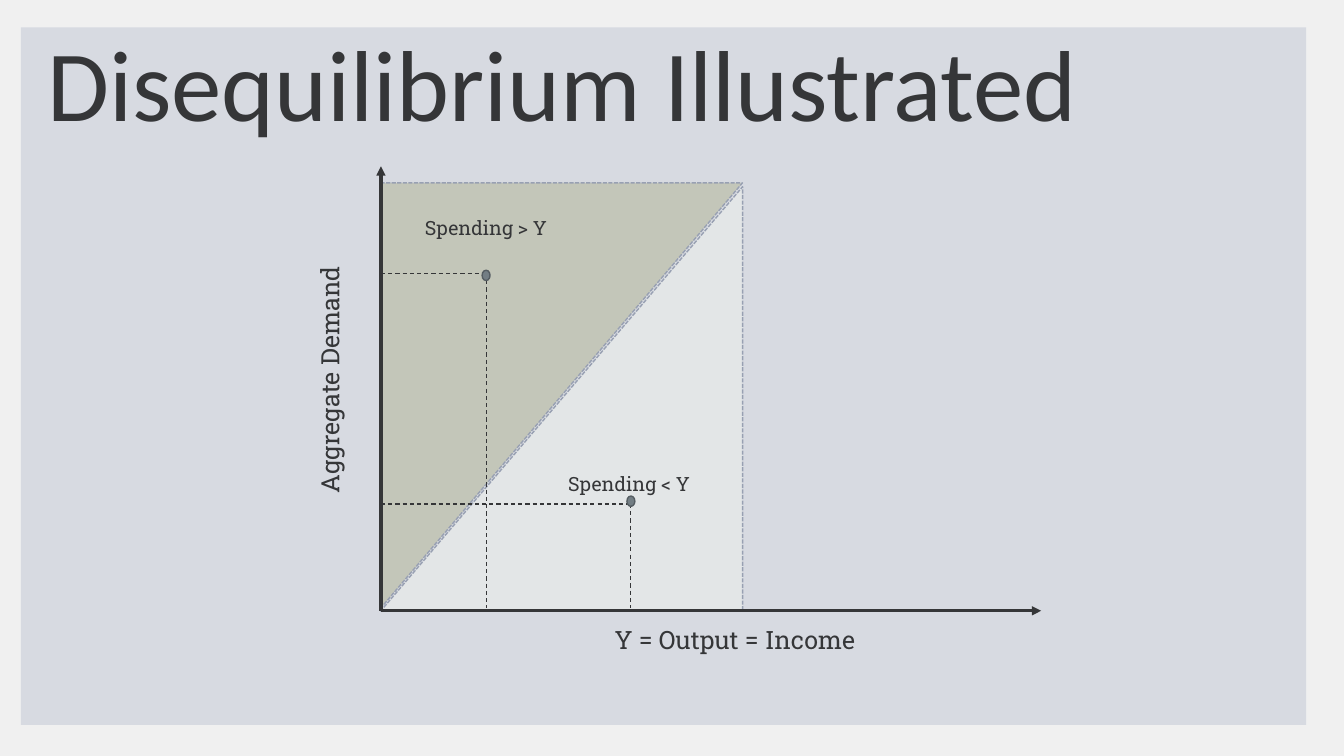
from dataclasses import dataclass

from lxml import etree
from pptx import Presentation
from pptx import util as u
from pptx.dml.color import RGBColor
from pptx.enum import dml, shapes, text
from pptx.oxml import ns


@dataclass(frozen=True)
class Theme:
    page: str = "F0F0F0"
    panel: str = "D7DAE1"
    ink: str = "353638"
    above: str = "C3C6B9"
    below: str = "E3E6E7"
    border: str = "98A0B2"
    dot: str = "737E84"
    dot_edge: str = "555D62"
    title_font: str = "Calibri"
    body_font: str = "Roboto Slab"
    title_size: int = 72
    axis_size: int = 18
    label_size: int = 14


def apply(target, values):
    for name, value in values.items():
        setattr(target, name, value)


class Diagram:
    def __init__(self, page, theme):
        self.page = page
        self.theme = theme
        page.background.fill.solid()
        page.background.fill.fore_color.rgb = RGBColor.from_string(theme.page)

    def stroke(self, line, color, width, dash=None):
        line.color.rgb = RGBColor.from_string(color)
        apply(line, {"width": u.Pt(width), "dash_style": dash})

    def shape(self, kind, frame, fill, edge=None, dash=None, rotation=0):
        shape = self.page.shapes.add_shape(kind, *map(u.Cm, frame))
        shape.rotation = rotation
        shape.shadow.inherit = False
        shape.fill.solid()
        shape.fill.fore_color.rgb = RGBColor.from_string(fill)
        if edge:
            self.stroke(shape.line, edge, 1, dash)
        else:
            shape.line.fill.background()

    def line(self, start, end, width=0.75, dash=None, arrow=False):
        line = self.page.shapes.add_connector(
            shapes.MSO_CONNECTOR.STRAIGHT, *map(u.Cm, (*start, *end)))
        self.stroke(line.line, self.theme.ink, width, dash)
        if arrow:
            etree.SubElement(line.line._get_or_add_ln(), ns.qn("a:tailEnd"), type="triangle")
        etree.SubElement(line._element.spPr, ns.qn("a:effectLst"))

    def text(self, words, frame, size, font=None, rotation=0,
             anchor=text.MSO_ANCHOR.TOP, spacing=1.0):
        box = self.page.shapes.add_textbox(*map(u.Cm, frame))
        box.rotation = rotation
        apply(box.text_frame, {"word_wrap": True, "vertical_anchor": anchor})
        para = box.text_frame.paragraphs[0]
        apply(para, {"line_spacing": spacing, "alignment": text.PP_ALIGN.LEFT})
        span = para.add_run()
        span.text = words
        apply(span.font, {"name": font or self.theme.body_font, "size": u.Pt(size)})
        span.font.color.rgb = RGBColor.from_string(self.theme.ink)


def main():
    deck = Presentation()
    apply(deck, {"slide_width": u.Cm(33.87), "slide_height": u.Cm(19.05)})
    theme = Theme()
    diagram = Diagram(deck.slides.add_slide(deck.slide_layouts[6]), theme)
    kinds = shapes.MSO_SHAPE
    dashes = dml.MSO_LINE

    diagram.shape(kinds.RECTANGLE, (0.53, 0.69, 32.39, 17.58), theme.panel)
    for frame, fill, rotation in (
        ((8.79, 5.41, 10.72, 9.12), theme.above, 90),
        ((8.81, 5.49, 10.69, 9.12), theme.below, 270),
    ):
        diagram.shape(kinds.RIGHT_TRIANGLE, frame, fill, theme.border,
                      dashes.SQUARE_DOT, rotation)

    diagram.text("Disequilibrium Illustrated", (0.94, 0.69, 29.9, 3.1), theme.title_size,
                 theme.title_font, anchor=text.MSO_ANCHOR.MIDDLE, spacing=0.9)
    diagram.text("Aggregate Demand", (5.13, 8.99, 6.35, 1.02), theme.axis_size, rotation=270)
    diagram.text("Y = Output = Income", (15.24, 15.6, 9.45, 1.02), theme.axis_size)

    origin_x, origin_y = 9.6, 15.39
    for end in ((26.24, origin_y), (origin_x, 4.19)):
        diagram.line((origin_x, origin_y), end, width=2.25, arrow=True)

    points = ((15.9, 12.7), (12.25, 6.88))
    for x, y in points:
        diagram.line((origin_x, y), (x, y), dash=dashes.DASH)
        diagram.line((x, y), (x, 15.32), dash=dashes.DASH)

    dot_width, dot_height = 0.2, 0.26
    for x, y in ((15.9, 12.63), (12.25, 6.94)):
        diagram.shape(kinds.OVAL, (x - dot_width / 2, y - dot_height / 2, dot_width, dot_height),
                      theme.dot, theme.dot_edge)

    for words, left, top in (("Spending > Y", 10.46, 5.31), ("Spending < Y", 14.07, 11.76)):
        diagram.text(words, (left, top, 5.54, 0.86), theme.label_size)

    deck.save("out.pptx")


if __name__ == "__main__":
    main()
